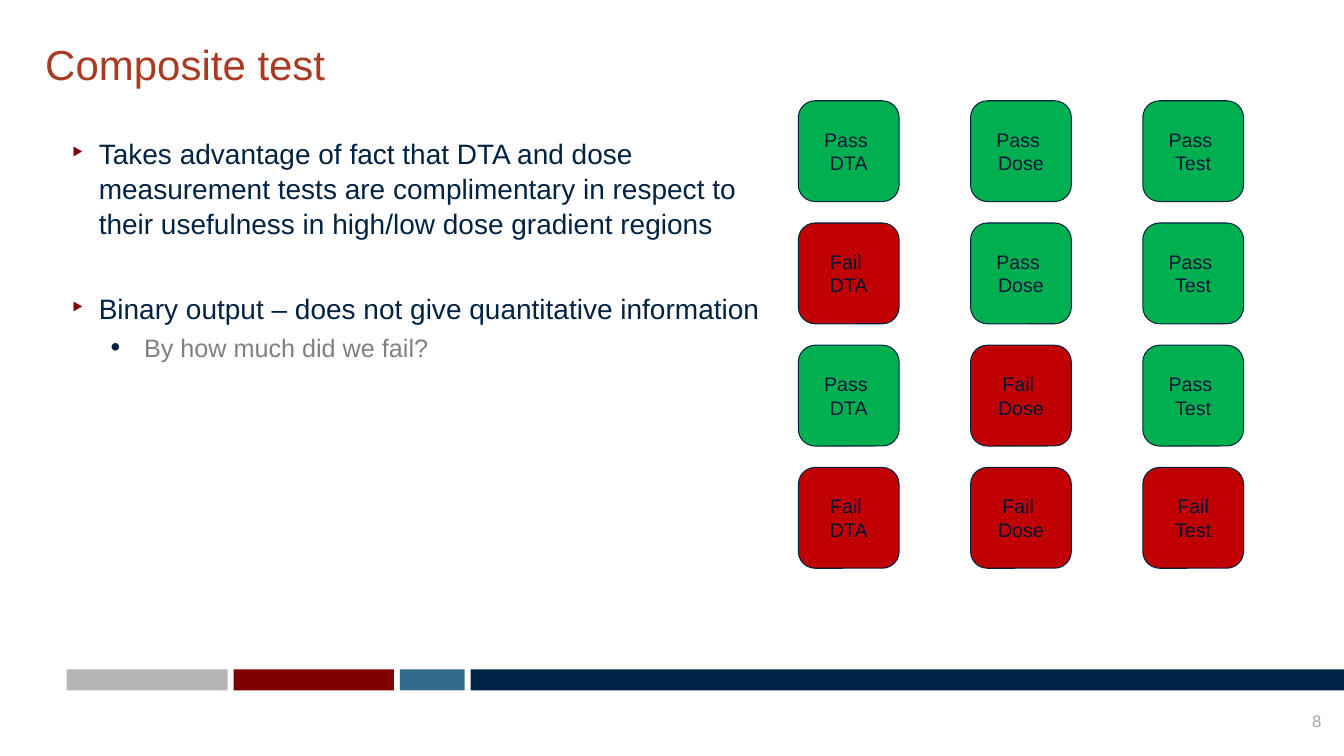
import pptx
import pptx.util
import pptx.dml.color
import pptx.enum.shapes
import pptx.enum.text
import lxml.etree

Cm = pptx.util.Cm
Pt = pptx.util.Pt
Align = pptx.enum.text.PP_ALIGN
Anchor = pptx.enum.text.MSO_ANCHOR
Kind = pptx.enum.shapes.MSO_SHAPE

HUES = {
    "navy": "002243", "blue": "326B8B", "maroon": "800000", "grey": "B4B5B4",
    "rust": "AA3A22", "Pass": "00B050", "Fail": "C00000", "ink": "01173A",
    "dim": "808080", "pale": "A6A6A6",
}


class Deck:
    font = "Arial"

    def __init__(self):
        self.prs = pptx.Presentation()
        self.prs.slide_width = Cm(33.87)
        self.prs.slide_height = Cm(19.05)
        self.slide = self.prs.slides.add_slide(self.prs.slide_layouts[5])

    def hue(self, name):
        return pptx.dml.color.RGBColor.from_string(HUES[name])

    def style(self, para, size, hue, align=Align.LEFT):
        para.alignment = align
        for run in para.runs:
            run.font.name = self.font
            run.font.size = Pt(size)
            run.font.color.rgb = self.hue(hue)

    def frame(self, shape, anchor, pad=0):
        frame = shape.text_frame
        frame.word_wrap = True
        frame.auto_size = pptx.enum.text.MSO_AUTO_SIZE.NONE
        frame.vertical_anchor = anchor
        frame.margin_left = frame.margin_right = 0
        frame.margin_top = frame.margin_bottom = Cm(pad)
        return frame

    def title(self, text, box):
        shape = self.slide.shapes.title
        shape.left, shape.top, shape.width, shape.height = map(Cm, box)
        frame = self.frame(shape, Anchor.MIDDLE)
        frame.text = text
        self.style(frame.paragraphs[0], 30, "rust")

    def label(self, text, box, size, hue, align):
        shape = self.slide.shapes.add_textbox(*map(Cm, box))
        frame = self.frame(shape, Anchor.BOTTOM)
        frame.text = text
        self.style(frame.paragraphs[0], size, hue, align)

    def shape(self, kind, box, fill):
        shape = self.slide.shapes.add_shape(kind, *map(Cm, box))
        shape.shadow.inherit = False
        shape.fill.solid()
        shape.fill.fore_color.rgb = self.hue(fill)
        shape.line.fill.background()
        return shape

    def bar(self, left, width, fill):
        self.shape(Kind.RECTANGLE, (left, 16.87, width, 0.53), fill)

    def tile(self, left, top, state, text):
        shape = self.shape(Kind.ROUNDED_RECTANGLE, (left, top, 2.54, 2.54), state)
        shape.line.color.rgb = self.hue("navy")
        shape.line.width = Pt(0.75)
        frame = shape.text_frame
        frame.word_wrap = True
        frame.vertical_anchor = Anchor.MIDDLE
        frame.text = text
        for para in frame.paragraphs:
            self.style(para, 14, "ink", Align.CENTER)

    def bullet(self, para, char, hue, scale, left, hang):
        props = para._p.get_or_add_pPr()
        props.set("marL", str(Cm(left)))
        props.set("indent", str(-Cm(hang)))
        space = props.nsmap["a"]

        def add(parent, tag, **attrs):
            return lxml.etree.SubElement(parent, f"{{{space}}}{tag}", **attrs)

        add(add(props, "buClr"), "srgbClr", val=HUES[hue])
        add(props, "buSzPct", val=str(scale * 1000))
        add(props, "buFont", typeface=self.font)
        add(props, "buChar", char=char)

    def points(self, box, items):
        shape = self.slide.shapes.add_textbox(*map(Cm, box))
        frame = self.frame(shape, Anchor.TOP, 0.28)
        frame.text = "\n".join(text for text, level, gap in items)
        for para, (text, level, gap) in zip(frame.paragraphs, items):
            if level:
                para.level = level
                self.bullet(para, "•", "navy", 110, 1.83, 0.84)
                self.style(para, 18, "dim")
            else:
                self.bullet(para, "‣", "maroon", 120, 0.69, 0.69)
                self.style(para, 20, "navy")
            para.line_spacing = 1.04
            para.space_before = Pt(gap)
            para.space_after = Pt(2)


def main():
    deck = Deck()
    for left, width, fill in (
        (11.86, 22.01, "navy"), (10.08, 1.63, "blue"),
        (5.89, 4.04, "maroon"), (1.68, 4.06, "grey"),
    ):
        deck.bar(left, width, fill)
    deck.label("8", (32.44, 17.91, 0.86, 0.51), 12, "pale", Align.RIGHT)
    deck.title("Composite test", (1.14, 0.97, 30.76, 1.27))

    cases = (
        ("Pass", "Pass", "Pass"),
        ("Fail", "Pass", "Pass"),
        ("Pass", "Fail", "Pass"),
        ("Fail", "Fail", "Fail"),
    )
    for row, case in enumerate(cases):
        for col, (state, name) in enumerate(zip(case, ("DTA", "Dose", "Test"))):
            whole = (state, name) == ("Fail", "Test")
            text = f"{state} {name}" if whole else f"{state} \n{name}"
            deck.tile(20.12 + 4.34 * col, 2.54 + 3.08 * row, state, text)

    deck.points((1.8, 3.12, 17.7, 7.8), (
        ("Takes advantage of fact that DTA and dose measurement tests are "
         "complimentary in respect to their usefulness in high/low dose "
         "gradient regions", 0, 0),
        ("Binary output – does not give quantitative information", 0, 34),
        ("By how much did we fail?", 1, 2),
    ))
    deck.prs.save("out.pptx")


if __name__ == "__main__":
    main()
